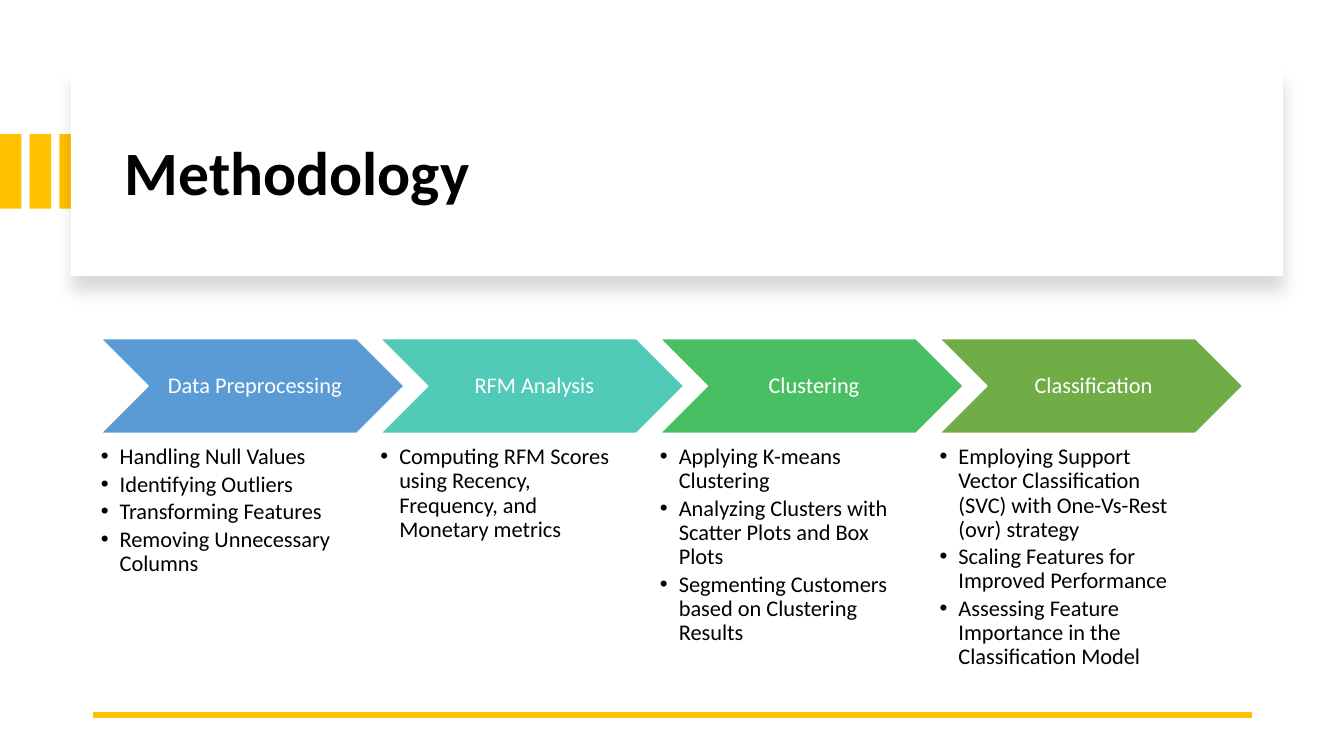
from lxml.etree import SubElement
from pptx import Presentation
from pptx.dml.color import RGBColor
from pptx.enum.shapes import MSO_CONNECTOR, MSO_SHAPE
from pptx.enum.text import MSO_ANCHOR, PP_ALIGN
from pptx.oxml.ns import qn
from pptx.util import Pt

TITLE = "Methodology"
STAGES = [
    ("Data Preprocessing", "blue",
     ["Handling Null Values", "Identifying Outliers", "Transforming Features",
      "Removing Unnecessary Columns"]),
    ("RFM Analysis", "teal",
     ["Computing RFM Scores using Recency, Frequency, and Monetary metrics"]),
    ("Clustering", "green",
     ["Applying K-means Clustering",
      "Analyzing Clusters with Scatter Plots and Box Plots",
      "Segmenting Customers based on Clustering Results"]),
    ("Classification", "olive",
     ["Employing Support Vector Classification (SVC) with One-Vs-Rest (ovr) strategy",
      "Scaling Features for Improved Performance",
      "Assessing Feature Importance in the Classification Model"]),
]
COLORS = {"white": "FFFFFF", "black": "000000", "gold": "FFC000", "blue": "5B9BD5",
          "teal": "52CAB8", "green": "49BF64", "olive": "70AD47"}
FONT = "Calibri"
STAGE_LEFT, STAGE_TOP, STAGE_PITCH = 72, 241.9, 199.7
CHEVRON_WIDTH, CHEVRON_HEIGHT = 216.7, 67.7
LIST_TOP, LIST_WIDTH, LIST_HEIGHT = 318.2, 173.5, 167.8
BULLET_INDENT = 13.5
BAR_TOP, BAR_WIDTH, BAR_HEIGHT, BAR_PITCH = 95.8, 15.3, 53.3, 21.2


def color(name):
    """Return the named colour."""
    return RGBColor.from_string(COLORS[name])


def add_block(page, kind, left, top, width, height, fill):
    """Add a flat filled shape."""
    block = page.shapes.add_shape(kind, Pt(left), Pt(top), Pt(width), Pt(height))
    block.shadow.inherit = False
    block.fill.solid()
    block.fill.fore_color.rgb = color(fill)
    block.line.fill.background()
    return block


def add_box(page, left, top, width, height):
    """Add a wrapping text box and return its frame."""
    box = page.shapes.add_textbox(Pt(left), Pt(top), Pt(width), Pt(height))
    box.text_frame.word_wrap = True
    return box.text_frame


def set_margins(frame, left, others):
    """Set the frame's insets."""
    frame.margin_left = Pt(left)
    frame.margin_top = frame.margin_right = frame.margin_bottom = Pt(others)


def write(para, words, size, shade, bold=False):
    """Add one styled run to a paragraph."""
    para.line_spacing = 0.9
    span = para.add_run()
    span.text = words
    span.font.name = FONT
    span.font.size = Pt(size)
    span.font.bold = bold
    span.font.color.rgb = color(shade)


def add_bullet(para):
    """Give a paragraph a hanging bullet."""
    props = para._p.get_or_add_pPr()
    props.set("marL", str(Pt(BULLET_INDENT)))
    props.set("indent", str(-Pt(BULLET_INDENT)))
    SubElement(props, qn("a:buFont"), typeface="Arial")
    SubElement(props, qn("a:buChar"), char="•")


def add_header(page):
    """Draw the side bars, the raised card and the title."""
    for index in range(3):
        add_block(page, MSO_SHAPE.RECTANGLE, index * BAR_PITCH, BAR_TOP,
                  BAR_WIDTH, BAR_HEIGHT, "gold")
    card = add_block(page, MSO_SHAPE.RECTANGLE, 50.7, 48.2, 865.8, 149, "white")
    effects = card._element.spPr.find(qn("a:effectLst"))
    shadow = SubElement(effects, qn("a:outerShdw"), blurRad=str(Pt(11)),
                        dist=str(Pt(10)), dir="5400000", algn="t", rotWithShape="0")
    tint = SubElement(shadow, qn("a:srgbClr"), val=COLORS["black"])
    SubElement(tint, qn("a:alpha"), val="15000")
    frame = add_box(page, 82.1, 64.1, 801.4, 122.4)
    frame.vertical_anchor = MSO_ANCHOR.MIDDLE
    write(frame.paragraphs[0], TITLE, 44, "black", True)


def add_rule(page):
    """Draw the line at the foot."""
    rule = page.shapes.add_connector(MSO_CONNECTOR.STRAIGHT, Pt(894.2), Pt(510.5),
                                     Pt(66.2), Pt(510.5))
    rule.line.color.rgb = color("gold")
    rule.line.width = Pt(4.5)
    SubElement(rule._element.spPr, qn("a:effectLst"))


def add_stage(page, left, name, fill, tasks):
    """Draw one chevron with its list of tasks."""
    chevron = add_block(page, MSO_SHAPE.CHEVRON, left, STAGE_TOP,
                        CHEVRON_WIDTH, CHEVRON_HEIGHT, fill)
    chevron.line.color.rgb = color("white")
    chevron.line.width = Pt(1)
    label = chevron.text_frame
    label.word_wrap = True
    label.vertical_anchor = MSO_ANCHOR.MIDDLE
    set_margins(label, 5, 1.7)
    label.paragraphs[0].alignment = PP_ALIGN.CENTER
    write(label.paragraphs[0], name, 16, "white")

    frame = add_box(page, left, LIST_TOP, LIST_WIDTH, LIST_HEIGHT)
    set_margins(frame, 0, 0)
    for index, task in enumerate(tasks):
        para = frame.add_paragraph() if index else frame.paragraphs[0]
        add_bullet(para)
        para.space_after = Pt(2.4)
        write(para, task, 16, "black")


def main():
    """Build and save the slide."""
    deck = Presentation()
    deck.slide_width, deck.slide_height = Pt(960), Pt(540)
    page = deck.slides.add_slide(deck.slide_layouts[6])
    add_header(page)
    add_rule(page)
    for index, stage in enumerate(STAGES):
        add_stage(page, STAGE_LEFT + index * STAGE_PITCH, *stage)
    deck.save("out.pptx")


if __name__ == "__main__":
    main()
